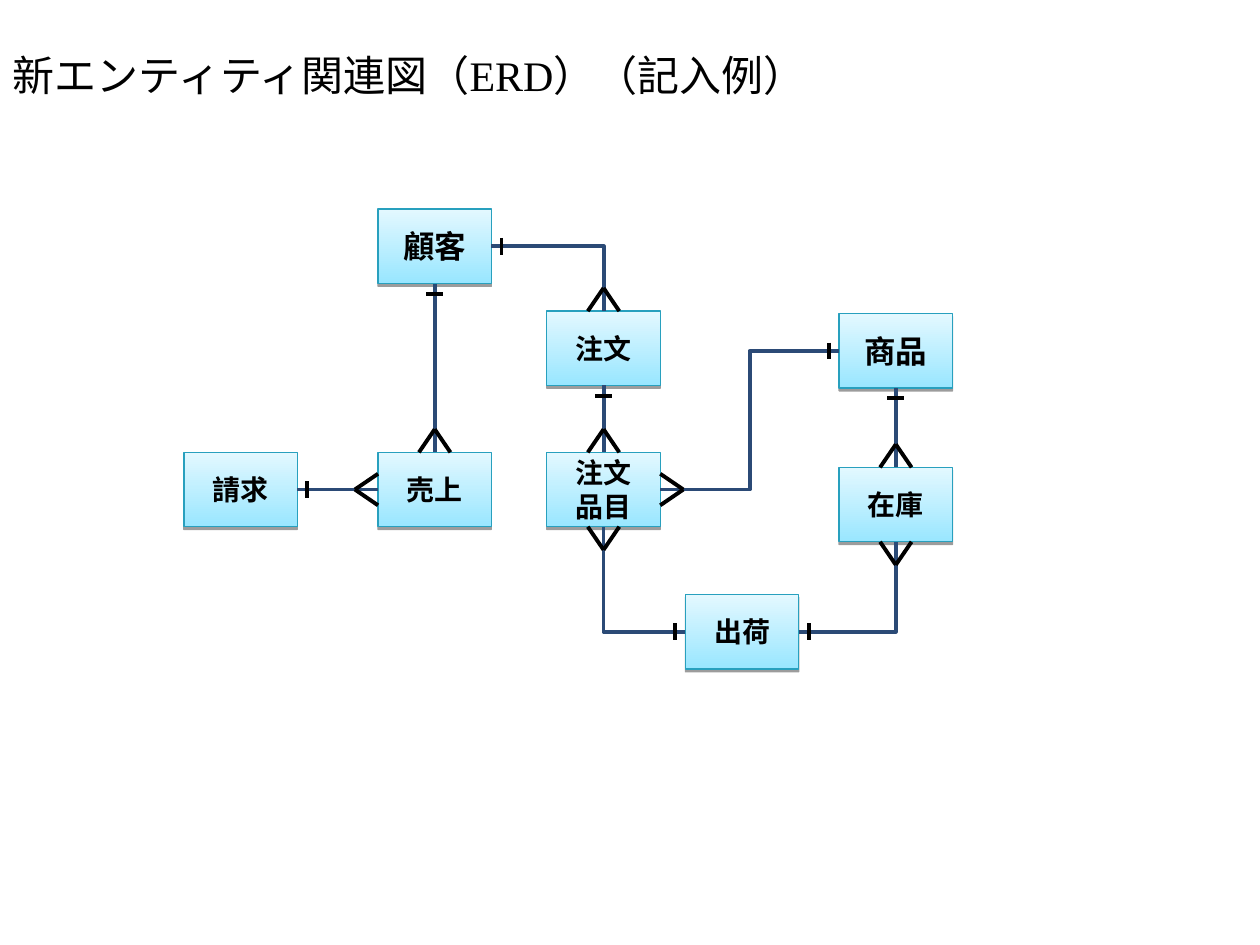
"""Build a one-slide entity relationship diagram with crow's foot notation."""
from lxml import etree
from pptx import Presentation
from pptx.dml.color import RGBColor
from pptx.enum.shapes import MSO_CONNECTOR, MSO_SHAPE
from pptx.enum.text import MSO_ANCHOR, PP_ALIGN
from pptx.oxml import parse_xml
from pptx.oxml.ns import nsdecls, qn
from pptx.util import Pt

PROCESS = MSO_SHAPE.FLOWCHART_PROCESS
STRAIGHT, ELBOW = MSO_CONNECTOR.STRAIGHT, MSO_CONNECTOR.ELBOW
LEFT, CENTER = PP_ALIGN.LEFT, PP_ALIGN.CENTER
MIDDLE, BOTTOM = MSO_ANCHOR.MIDDLE, MSO_ANCHOR.BOTTOM

BLACK = RGBColor(0x00, 0x00, 0x00)
NAVY = RGBColor(0x2B, 0x4A, 0x76)
TEAL = RGBColor(0x28, 0xA0, 0xBE)
SKY = RGBColor(0x99, 0xE6, 0xFF)
PALE = RGBColor(0xE3, 0xF8, 0xFF)

CJK_FONT = "Noto Sans CJK JP"
BOX_WIDTH, BOX_HEIGHT = 64.8, 42.5
BAR_GAP, BAR_HALF = 5.8, 4.8
FOOT_LENGTH, FOOT_HALF = 13.2, 9
TOP, LEFT_SIDE, BOTTOM_SIDE, RIGHT_SIDE = range(4)
OUTWARD = [(0, -1), (-1, 0), (0, 1), (1, 0)]

ENTITIES = {
    "顧客": (216, 119.5, 18),
    "商品": (479.5, 179.3, 18),
    "注文": (312.5, 177.8, 16),
    "出荷": (391.7, 339.8, 16),
    "請求": (105.1, 258.5, 16),
    "売上": (216, 258.5, 16),
    "注文\n品目": (312.5, 258.5, 16),
    "在庫": (479.5, 267.1, 16),
}
RELATIONS = [
    ("顧客", RIGHT_SIDE, "注文", TOP, "bentConnector2"),
    ("商品", LEFT_SIDE, "注文\n品目", RIGHT_SIDE, "bentConnector3"),
    ("商品", BOTTOM_SIDE, "在庫", TOP, "line"),
    ("出荷", RIGHT_SIDE, "在庫", BOTTOM_SIDE, "bentConnector2"),
    ("注文", BOTTOM_SIDE, "注文\n品目", TOP, "line"),
    ("出荷", LEFT_SIDE, "注文\n品目", BOTTOM_SIDE, "bentConnector2"),
    ("顧客", BOTTOM_SIDE, "売上", TOP, "line"),
    ("請求", RIGHT_SIDE, "売上", LEFT_SIDE, "line"),
]
SHADOW = (
    f'<a:outerShdw {nsdecls("a")} blurRad="0" dist="20320" dir="5400000" rotWithShape="0">'
    '<a:srgbClr val="000000"><a:alpha val="38000"/></a:srgbClr></a:outerShdw>'
)


def add_line(kind, start, end, color):
    line = page.shapes.add_connector(kind, *(Pt(round(v, 2)) for v in (*start, *end)))
    line.line.color.rgb = color
    line.line.width = Pt(2.25)
    etree.SubElement(line._element.spPr, qn("a:effectLst"))
    return line


def style_text(frame, alignment, font_format):
    for para in frame.paragraphs:
        para.alignment = alignment
        for span in para.runs:
            for name, value in font_format.items():
                setattr(span.font, name, value)
            span.font.color.rgb = BLACK
            east_asian = etree.Element(qn("a:ea"), typeface=CJK_FONT)
            span.font._element.find(qn("a:latin")).addnext(east_asian)


deck = Presentation()
deck.slide_width, deck.slide_height = Pt(720), Pt(540)
page = deck.slides.add_slide(deck.slide_layouts[5])

title = page.shapes.title
title.left, title.top, title.width, title.height = Pt(0), Pt(17.3), Pt(720), Pt(43.2)
title.text_frame.text = "新エンティティ関連図（ERD）（記入例）"
title.text_frame.vertical_anchor = BOTTOM
style_text(title.text_frame, LEFT, {"name": "Times New Roman", "size": Pt(24)})

boxes = {}
for label, (left, top, size) in ENTITIES.items():
    box = page.shapes.add_shape(PROCESS, Pt(left), Pt(top), Pt(BOX_WIDTH), Pt(BOX_HEIGHT))
    box.fill.gradient()
    box.fill.gradient_angle = 90
    for stop, color, position in zip(box.fill.gradient_stops, (SKY, PALE), (0, 1)):
        stop.color.rgb = color
        stop.position = position
    box.line.color.rgb = TEAL
    box.line.width = Pt(0.75)
    box.shadow.inherit = False
    box._element.spPr.find(qn("a:effectLst")).append(parse_xml(SHADOW))
    box.text_frame.text = label
    box.text_frame.word_wrap = True
    box.text_frame.vertical_anchor = MIDDLE
    style_text(box.text_frame, CENTER, {"name": CJK_FONT, "size": Pt(size), "bold": True})
    boxes[label] = box

for one, one_side, many, many_side, preset in RELATIONS:
    ends = []
    for label, side in ((one, one_side), (many, many_side)):
        left, top, size = ENTITIES[label]
        dx, dy = OUTWARD[side]
        ends.append((left + BOX_WIDTH * (1 + dx) / 2, top + BOX_HEIGHT * (1 + dy) / 2))
    link = add_line(STRAIGHT if preset == "line" else ELBOW, *ends, NAVY)
    link._element.spPr.find(qn("a:prstGeom")).set("prst", preset)
    link.begin_connect(boxes[one], one_side)
    link.end_connect(boxes[many], many_side)

    (x, y), (dx, dy) = ends[0], OUTWARD[one_side]
    x, y = x + dx * BAR_GAP, y + dy * BAR_GAP
    across, down = abs(dy) * BAR_HALF, abs(dx) * BAR_HALF
    add_line(STRAIGHT, (x - across, y - down), (x + across, y + down), BLACK)

    (x, y), (dx, dy) = ends[1], OUTWARD[many_side]
    apex = (x + dx * FOOT_LENGTH, y + dy * FOOT_LENGTH)
    for sign in (-1, 1):
        toe = (x + sign * abs(dy) * FOOT_HALF, y + sign * abs(dx) * FOOT_HALF)
        add_line(STRAIGHT, apex, toe, BLACK)

deck.save("out.pptx")
